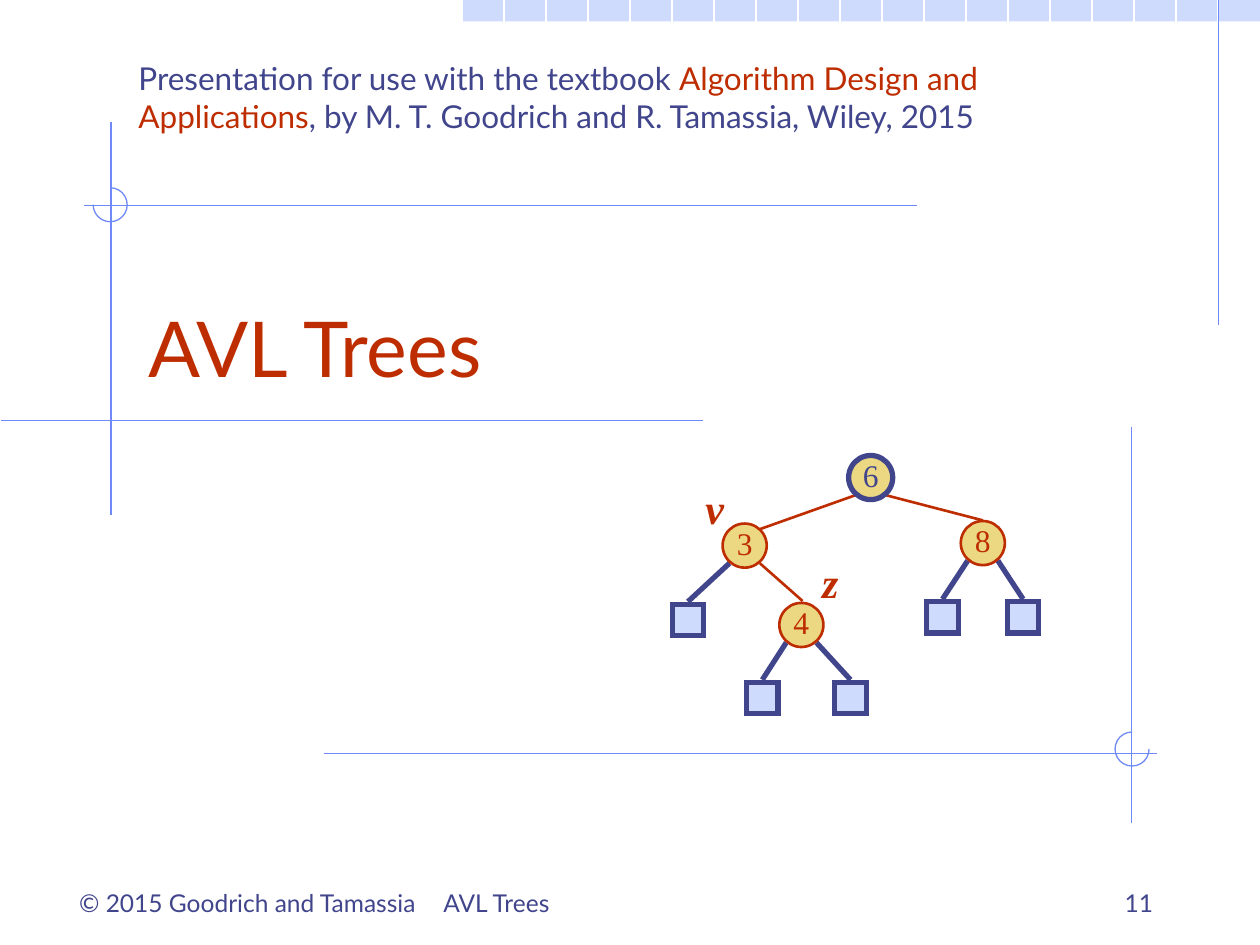
from lxml import etree
from pptx import Presentation
from pptx.dml.color import RGBColor
from pptx.enum.shapes import MSO_CONNECTOR, MSO_SHAPE
from pptx.enum.text import MSO_ANCHOR, PP_ALIGN
from pptx.oxml.ns import qn
from pptx.util import Inches, Pt

NAVY = RGBColor(0x40, 0x45, 0x8C)
RED = RGBColor(0xBE, 0x2D, 0x00)
BLUE = RGBColor(0x6F, 0x89, 0xF7)
PALE = RGBColor(0xCF, 0xDB, 0xFD)
GOLD = RGBColor(0xEC, 0xD8, 0x82)
WHITE = RGBColor(0xFF, 0xFF, 0xFF)
SANS, SERIF = "Lato", "Times New Roman"

BAND_LEFT, BAND_HEIGHT = 3.67, 0.17
RULES = [
    (9.67, 0, 9.67, 2.58),
    (0.88, 0.97, 0.88, 4.09),
    (0.01, 3.34, 5.58, 3.34),
    (0.67, 1.63, 7.28, 1.63),
    (2.57, 5.98, 9.18, 5.98),
    (8.98, 3.39, 8.98, 6.53),
]
ARC_SIZE = 0.27
ARCS = [(0.74, 1.49, 270, 180), (8.85, 5.81, 0, 270)]

NODE_SIZE, LEAF_SIZE = 0.35, 0.25
NODES = {
    "6": (6.91, 3.79, NAVY, 3),
    "3": (5.91, 4.33, RED, 1.5),
    "8": (7.8, 4.31, RED, 1.5),
    "4": (6.36, 4.96, RED, 1.5),
}
LEAVES = [("3", 5.46, 4.92), ("8", 7.48, 4.9), ("8", 8.12, 4.9),
          ("4", 6.05, 5.54), ("4", 6.75, 5.54)]
BRANCHES = [("6", 6.03, 4.2), ("6", 7.8, 4.13), ("3", 6.37, 4.77)]
NODE_LABELS = [("v", 5.5, 3.78), ("z", 6.42, 4.37)]

TEXTS = [
    ((0.47, 7, 2.99, 0.34), [("© 2015 Goodrich and Tamassia", NAVY)], 14,
     PP_ALIGN.CENTER, MSO_ANCHOR.TOP),
    ((3.42, 6.83, 3.17, 0.5), [("AVL Trees", NAVY)], 14,
     PP_ALIGN.LEFT, MSO_ANCHOR.BOTTOM),
    ((7.17, 6.83, 2.08, 0.5), [("11", NAVY)], 14,
     PP_ALIGN.RIGHT, MSO_ANCHOR.BOTTOM),
    ((1.08, 1.92, 4.83, 1.25), [("AVL Trees", RED)], 44,
     PP_ALIGN.LEFT, MSO_ANCHOR.BOTTOM),
    ((1, 0.42, 7.25, 1.08),
     [("Presentation for use with the textbook ", NAVY),
      ("Algorithm Design and Applications", RED),
      (", by M. T. Goodrich and R. Tamassia, Wiley, 2015", NAVY)], 18,
     PP_ALIGN.LEFT, MSO_ANCHOR.TOP),
]

prs = Presentation()
prs.slide_width, prs.slide_height = Inches(10), Inches(7.5)
slide = prs.slides.add_slide(prs.slide_layouts[6])


def add_line(x1, y1, x2, y2, color, width):
    line = slide.shapes.add_connector(
        MSO_CONNECTOR.STRAIGHT, Inches(x1), Inches(y1), Inches(x2), Inches(y2))
    line.line.color.rgb = color
    line.line.width = Pt(width)
    etree.SubElement(line._element.spPr, qn("a:effectLst"))


def add_figure(kind, box, fill=None, color=None, width=0.75):
    figure = slide.shapes.add_shape(kind, *map(Inches, box))
    figure.shadow.inherit = False
    if fill is None:
        figure.fill.background()
    else:
        figure.fill.solid()
        figure.fill.fore_color.rgb = fill
    if color is None:
        figure.line.fill.background()
    else:
        figure.line.color.rgb = color
        figure.line.width = Pt(width)
        etree.SubElement(figure.line._get_or_add_ln(), qn("a:miter"), lim="800000")
    return figure


def write(frame, pieces, size, align, anchor, font=SANS, emphasis=False):
    frame.vertical_anchor = anchor
    paragraph = frame.paragraphs[0]
    paragraph.alignment = align
    for words, color in pieces:
        run = paragraph.add_run()
        run.text = words
        run.font.name, run.font.size = font, Pt(size)
        run.font.color.rgb = color
        run.font.bold = run.font.italic = emphasis


def add_text(box, *style, **options):
    frame = slide.shapes.add_textbox(*map(Inches, box)).text_frame
    frame.word_wrap = True
    write(frame, *style, **options)


def centred(x, y, size):
    return x - size / 2, y - size / 2, size, size


def add_edge(parent, x, y, color, width):
    px, py = NODES[parent][:2]
    side = 0.12 if x > px else -0.12
    add_line(px + side, py + 0.14, x, y, color, width)


add_figure(MSO_SHAPE.RECTANGLE, (BAND_LEFT, 0, 10 - BAND_LEFT, BAND_HEIGHT), PALE)
for step in range(11, 30):
    add_line(step / 3, 0, step / 3, 7.5, WHITE, 0.75)
for rule in RULES:
    add_line(*rule, BLUE, 0.75)
for left, top, start, end in ARCS:
    arc = add_figure(MSO_SHAPE.ARC, (left, top, ARC_SIZE, ARC_SIZE), color=BLUE)
    arc.adjustments[0], arc.adjustments[1] = start * 0.6, end * 0.6

for box, pieces, size, align, anchor in TEXTS:
    add_text(box, pieces, size, align, anchor)

for parent, x, y in BRANCHES:
    add_edge(parent, x, y, RED, 1.5)
for parent, x, y in LEAVES:
    add_edge(parent, x, y - LEAF_SIZE / 2 - 0.02, NAVY, 3)
    add_figure(MSO_SHAPE.RECTANGLE, centred(x, y, LEAF_SIZE), PALE, NAVY, 3)
for key, (x, y, color, width) in NODES.items():
    node = add_figure(MSO_SHAPE.OVAL, centred(x, y, NODE_SIZE), GOLD, color, width)
    frame = node.text_frame
    frame.word_wrap = False
    frame.margin_left = frame.margin_right = frame.margin_top = 0
    frame.margin_bottom = Inches(0.05)
    write(frame, [(key, color)], 18, PP_ALIGN.CENTER, MSO_ANCHOR.MIDDLE, SERIF)
for name, left, top in NODE_LABELS:
    add_text((left, top, 0.34, 0.5), [(name, RED)], 24, PP_ALIGN.CENTER,
             MSO_ANCHOR.TOP, font=SERIF, emphasis=True)

prs.save("out.pptx")
